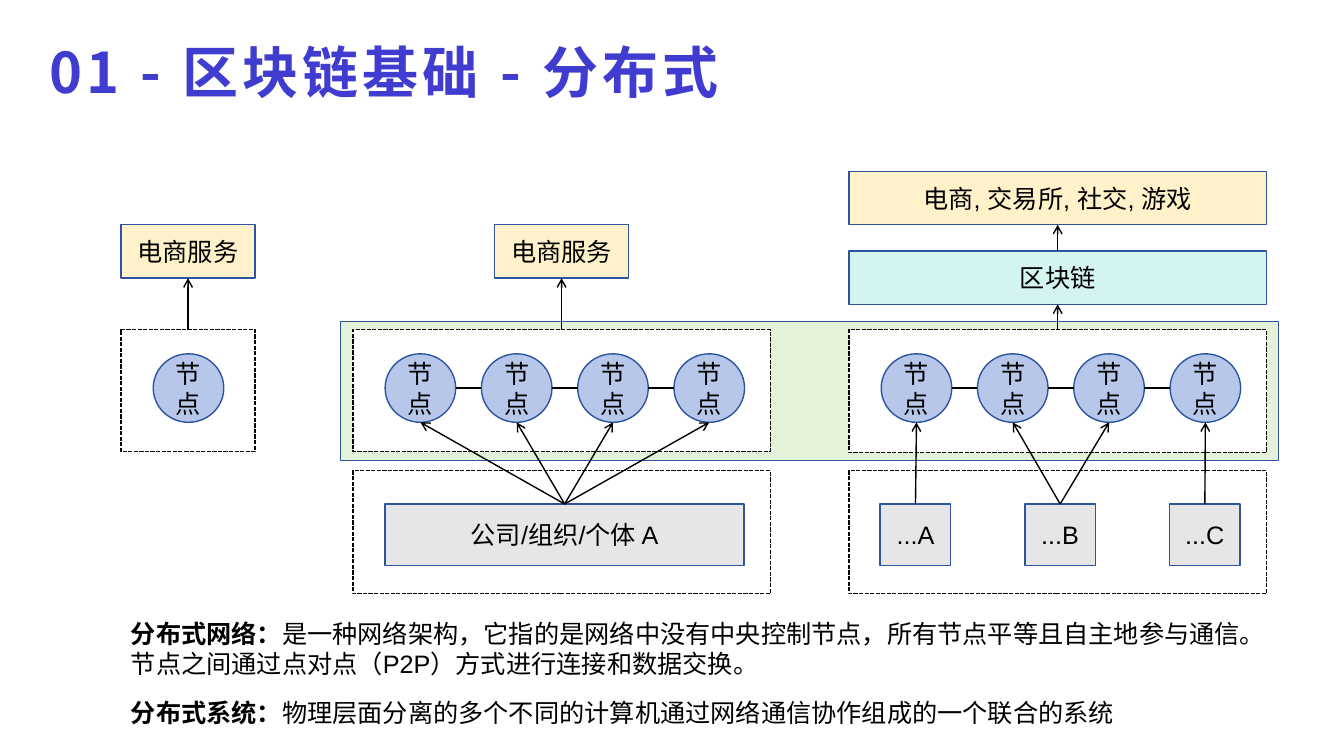
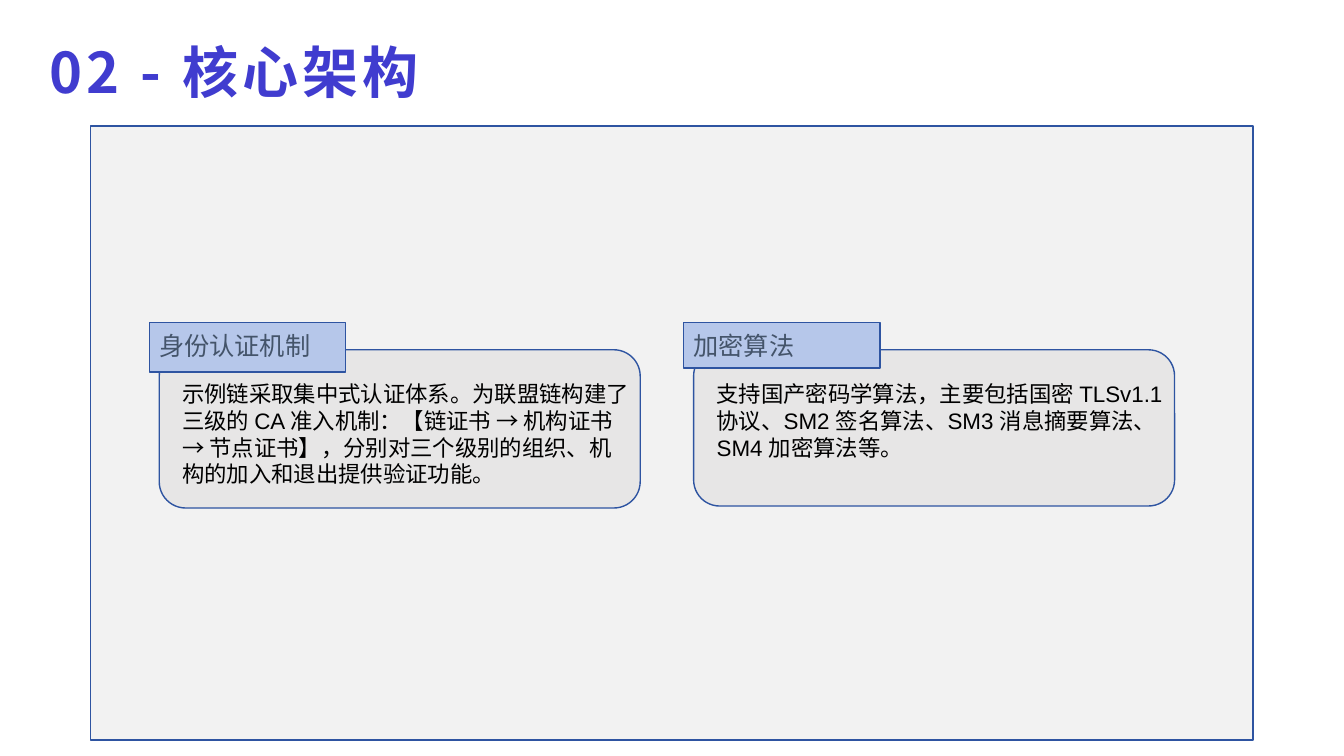
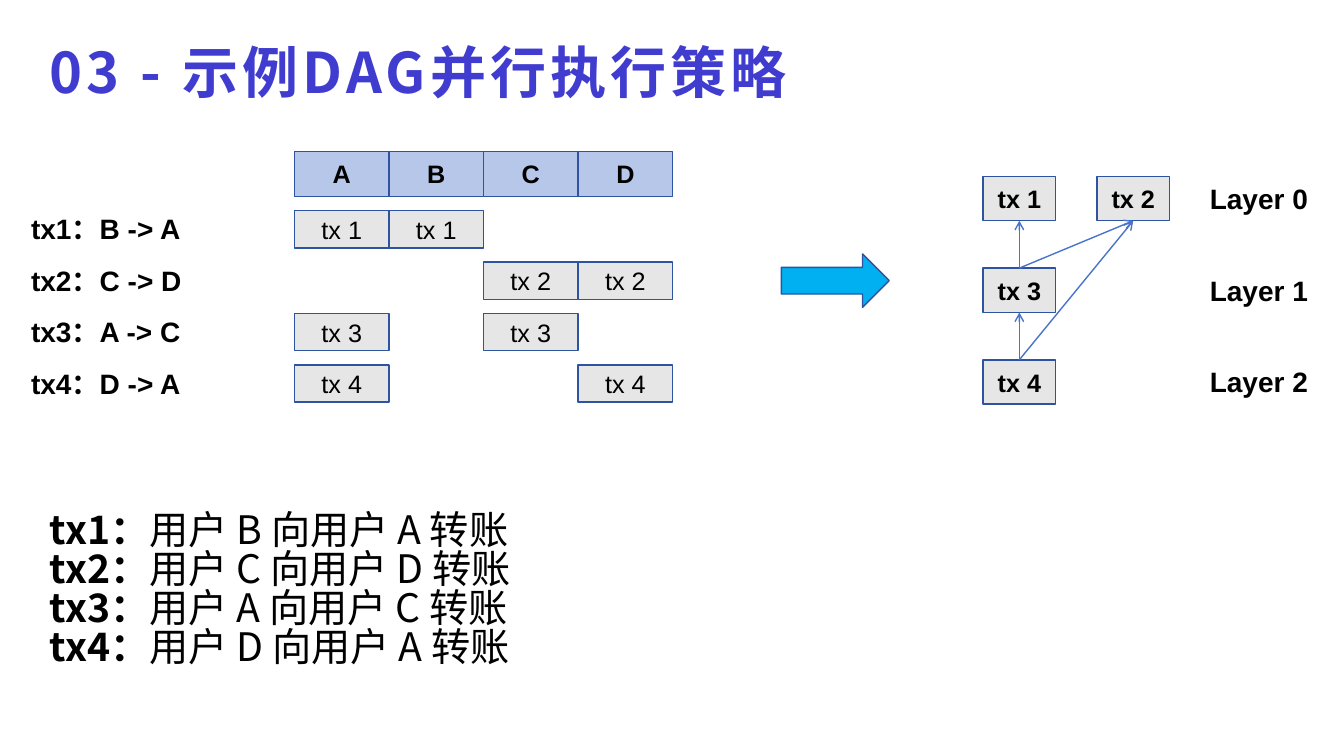
import pptx
import pptx.util
import pptx.dml.color
import pptx.enum.dml
import pptx.enum.shapes
import pptx.enum.text
import pptx.oxml
import pptx.oxml.ns
import lxml.etree

Inches = pptx.util.Inches
Pt = pptx.util.Pt
RGB = pptx.dml.color.RGBColor
Kind = pptx.enum.shapes.MSO_SHAPE
Align = pptx.enum.text.PP_ALIGN
Anchor = pptx.enum.text.MSO_ANCHOR
Fit = pptx.enum.text.MSO_AUTO_SIZE
qn = pptx.oxml.ns.qn

BLACK = RGB(0x00, 0x00, 0x00)
WHITE = RGB(0xFF, 0xFF, 0xFF)
INDIGO = RGB(0x40, 0x3C, 0xCF)
NAVY = RGB(0x2E, 0x54, 0xA1)
BLUE = RGB(0x48, 0x74, 0xCB)
PALE = RGB(0xB6, 0xC7, 0xEA)
GREEN = RGB(0xE3, 0xF2, 0xD9)
CREAM = RGB(0xFF, 0xF2, 0xCA)
AQUA = RGB(0xD4, 0xF4, 0xF2)
GREY = RGB(0xE7, 0xE6, 0xE6)
MIST = RGB(0xF2, 0xF2, 0xF2)
SLATE = RGB(0x44, 0x54, 0x6A)
SKY = RGB(0x00, 0xB0, 0xF0)

SANS = "Arial"
HAN = "Noto Sans CJK SC"
TOP, LEFT, BASE, RIGHT = range(4)

TITLES = ["01 - 区块链基础 - 分布式", "02 - 核心架构", "03 - 示例DAG并行执行策略"]

NODE = "节点"
SHOP = "电商服务"
APPS = "电商, 交易所, 社交, 游戏"
CHAIN = "区块链"
OWNER = "公司/组织/个体 A"
PEERS = [("...A", [0]), ("...B", [1, 2]), ("...C", [3])]
TERMS = [
    (6.08, 0.71, "分布式网络：", "是一种网络架构，它指的是网络中没有中央控制节点，所有节点平等且自主地参与通信。节点之间通过点对点（P2P）方式进行连接和数据交换。"),
    (6.87, 0.4, "分布式系统：", "物理层面分离的多个不同的计算机通过网络通信协作组成的一个联合的系统"),
]

CARDS = [
    (1.48, 0.49, 1.57, "身份认证机制", "示例链采取集中式认证体系。为联盟链构建了三级的 CA 准入机制：【链证书 → 机构证书 → 节点证书】，分别对三个级别的组织、机构的加入和退出提供验证功能。"),
    (6.78, 0.45, 1.55, "加密算法", "支持国产密码学算法，主要包括国密 TLSv1.1 协议、SM2 签名算法、SM3 消息摘要算法、SM4 加密算法等。"),
]

USERS = "ABCD"
MOVES = ["BA", "CD", "AC", "DA"]
GRAPH = [("tx 1", 0, 0), ("tx 2", 1, 0), ("tx 3", 0, 1), ("tx 4", 0, 2)]
EDGES = [("tx 3", "tx 1"), ("tx 3", "tx 2"), ("tx 4", "tx 3"), ("tx 4", "tx 2")]


def style(item, **vals):
    for key, val in vals.items():
        setattr(item, key, val)


def write(frame, lines, size=18, face=SANS, color=BLACK, align=Align.LEFT, space=None):
    frame.word_wrap = True
    for num, runs in enumerate(lines):
        para = frame.paragraphs[0] if num == 0 else frame.add_paragraph()
        style(para, alignment=align, line_spacing=space)
        for text, bold in runs:
            run = para.add_run()
            run.text = text
            style(run.font, name=face, size=Pt(size), bold=bold)
            run.font.color.rgb = color
            if face == HAN:
                lxml.etree.SubElement(run._r.get_or_add_rPr(), qn("a:ea")).set("typeface", face)


def label(slide, at, runs, **form):
    box = slide.shapes.add_textbox(*map(Inches, at))
    write(box.text_frame, [runs], **form)


def block(slide, at, fill, text=None, bold=False, kind=Kind.RECTANGLE, edge=NAVY,
          anchor=Anchor.MIDDLE, **form):
    shape = slide.shapes.add_shape(kind, *map(Inches, at))
    shape.shadow.inherit = False
    shape.fill.solid()
    shape.fill.fore_color.rgb = fill
    shape.line.color.rgb = edge
    shape.line.width = Pt(1)
    if text:
        shape.text_frame.vertical_anchor = anchor
        write(shape.text_frame, [[(text, bold)]], **{"align": Align.CENTER, **form})
    return shape


def zone(slide, at):
    shape = block(slide, at, WHITE, edge=BLACK)
    shape.line.dash_style = pptx.enum.dml.MSO_LINE.SQUARE_DOT
    return shape


def spot(shape, side):
    mid, half = shape.left + shape.width // 2, shape.top + shape.height // 2
    return [(mid, shape.top), (shape.left, half), (mid, shape.top + shape.height),
            (shape.left + shape.width, half)][side]


def link(slide, start, end, sides=(TOP, BASE), color=BLACK, head=True):
    line = slide.shapes.add_connector(pptx.enum.shapes.MSO_CONNECTOR.STRAIGHT,
                                      *spot(start, sides[0]), *spot(end, sides[1]))
    if start.auto_shape_type == Kind.RECTANGLE:
        line.begin_connect(start, sides[0])
    if end.auto_shape_type == Kind.RECTANGLE:
        line.end_connect(end, sides[1])
    line.line.color.rgb = color
    line.line.width = Pt(1)
    if head:
        tail = lxml.etree.SubElement(line.line._get_or_add_ln(), qn("a:tailEnd"))
        tail.set("type", "arrow")
    lxml.etree.SubElement(line._element.spPr, qn("a:effectLst"))


def theme(deck):
    master = deck.slide_master
    for hold in master.placeholders:
        if hold.placeholder_format.type == pptx.enum.shapes.PP_PLACEHOLDER.TITLE:
            style(hold, left=Inches(0.39), top=Inches(0.4), width=Inches(8.62), height=Inches(0.61))
            style(hold.text_frame, auto_size=Fit.NONE, vertical_anchor=Anchor.MIDDLE)
    level = master.element.find(".//" + qn("p:titleStyle") + "/" + qn("a:lvl1pPr"))
    level.set("algn", "l")
    font = level.find(qn("a:defRPr"))
    for key, val in {"sz": "4000", "b": "1", "spc": "300"}.items():
        font.set(key, val)
    fill = font.find(qn("a:solidFill"))
    fill.clear()
    lxml.etree.SubElement(fill, qn("a:srgbClr")).set("val", str(INDIGO))
    for tag in ("a:latin", "a:ea"):
        font.find(qn(tag)).set("typeface", HAN)


def page(deck, num, layout=5):
    slide = deck.slides.add_slide(deck.slide_layouts[layout])
    slide.shapes.title.text = TITLES[num]
    return slide


def nodes(slide, left, count):
    ring = [block(slide, (left + 0.955 * num, 3.51, 0.7, 0.68), PALE, NODE, kind=Kind.OVAL)
            for num in range(count)]
    for prev, item in zip(ring, ring[1:]):
        link(slide, item, prev, (LEFT, RIGHT), head=False)
    return ring


def network(deck):
    slide = page(deck, 0)
    block(slide, (3.38, 3.19, 9.3, 1.38), GREEN)

    for left, wide, count in [(1.2, 1.33, 1), (3.5, 4.14, 4)]:
        area = zone(slide, (left, 3.27, wide, 1.21))
        shop = block(slide, (left + (wide - 1.33) / 2, 2.23, 1.33, 0.53), CREAM, SHOP)
        link(slide, area, shop)
        ring = nodes(slide, left + 0.32, count)
    zone(slide, (3.5, 4.67, 4.14, 1.22))
    owner = block(slide, (3.82, 5, 3.56, 0.61), GREY, OWNER)
    for item in ring:
        link(slide, owner, item)

    area = zone(slide, (8.42, 3.27, 4.14, 1.22))
    chain = block(slide, (8.42, 2.49, 4.14, 0.53), AQUA, CHAIN)
    apps = block(slide, (8.42, 1.7, 4.14, 0.53), CREAM, APPS)
    link(slide, area, chain)
    link(slide, chain, apps)
    ring = nodes(slide, 8.74, 4)
    zone(slide, (8.42, 4.67, 4.14, 1.22))
    for num, (text, goals) in enumerate(PEERS):
        peer = block(slide, (8.73 + 1.435 * num, 5, 0.7, 0.61), GREY, text)
        for goal in goals:
            link(slide, peer, ring[goal])

    for top, high, term, text in TERMS:
        label(slide, (1.2, top, 11.37, high), [(term, True), (text, False)])


def core(deck):
    slide = page(deck, 1)
    block(slide, (0.9, 1.25, 11.53, 6.09), MIST)
    for left, high, deep, name, text in CARDS:
        block(slide, (left + 0.1, 3.47, 4.77, deep), GREY, kind=Kind.ROUNDED_RECTANGLE)
        block(slide, (left, 3.2, 1.95, high), PALE, name, color=SLATE, align=Align.LEFT,
              anchor=Anchor.TOP, space=1.1)
        label(slide, (left + 0.23, 3.72, 4.64, 1.33), [(text, False)], size=16)


def plan(deck):
    slide = page(deck, 2, 1)
    body = slide.placeholders[1]
    style(body, left=Inches(0.39), top=Inches(5.04), width=Inches(12.62), height=Inches(2.46))
    body.text_frame.auto_size = Fit.NONE
    write(body.text_frame,
          [[(f"tx{num}：", True), (f"用户 {src} 向用户 {dst} 转账", False)]
           for num, (src, dst) in enumerate(MOVES, 1)],
          size=28, face=HAN, space=0.83)
    for para in body.text_frame.paragraphs:
        para.space_before = Pt(0)
        props = para._p.get_or_add_pPr()
        props.set("marL", "0")
        props.set("indent", "0")
        lxml.etree.SubElement(props, qn("a:buNone"))

    cols = {user: 2.92 + 0.9375 * num for num, user in enumerate(USERS)}
    for user, left in cols.items():
        block(slide, (left, 1.5, 0.94, 0.45), PALE, user, True)
    for num, move in enumerate(MOVES, 1):
        top = 1.58 + 0.51 * num
        label(slide, (0.21, top, 1.86, 0.37), [(f"tx{num}：{move[0]} -> {move[1]}", True)],
              size=20, space=0.9)
        for user in sorted(move):
            block(slide, (cols[user], top, 0.94, 0.37), GREY, f"tx {num}")

    block(slide, (7.75, 2.52, 1.07, 0.53), SKY, kind=Kind.RIGHT_ARROW)

    steps = {name: block(slide, (9.75 + 1.13 * col, 1.75 + 0.91 * row, 0.72, 0.44), GREY, name, True)
             for name, col, row in GRAPH}
    for src, dst in EDGES:
        link(slide, steps[src], steps[dst], color=BLUE)
    for row in range(3):
        label(slide, (11.9, 1.75 + 0.91 * row, 1.21, 0.44), [(f"Layer {row}", True)], size=20)


def main():
    deck = pptx.Presentation()
    style(deck, slide_width=Inches(13.33), slide_height=Inches(7.5))
    theme(deck)
    network(deck)
    core(deck)
    plan(deck)
    deck.save("out.pptx")


if __name__ == "__main__":
    main()
